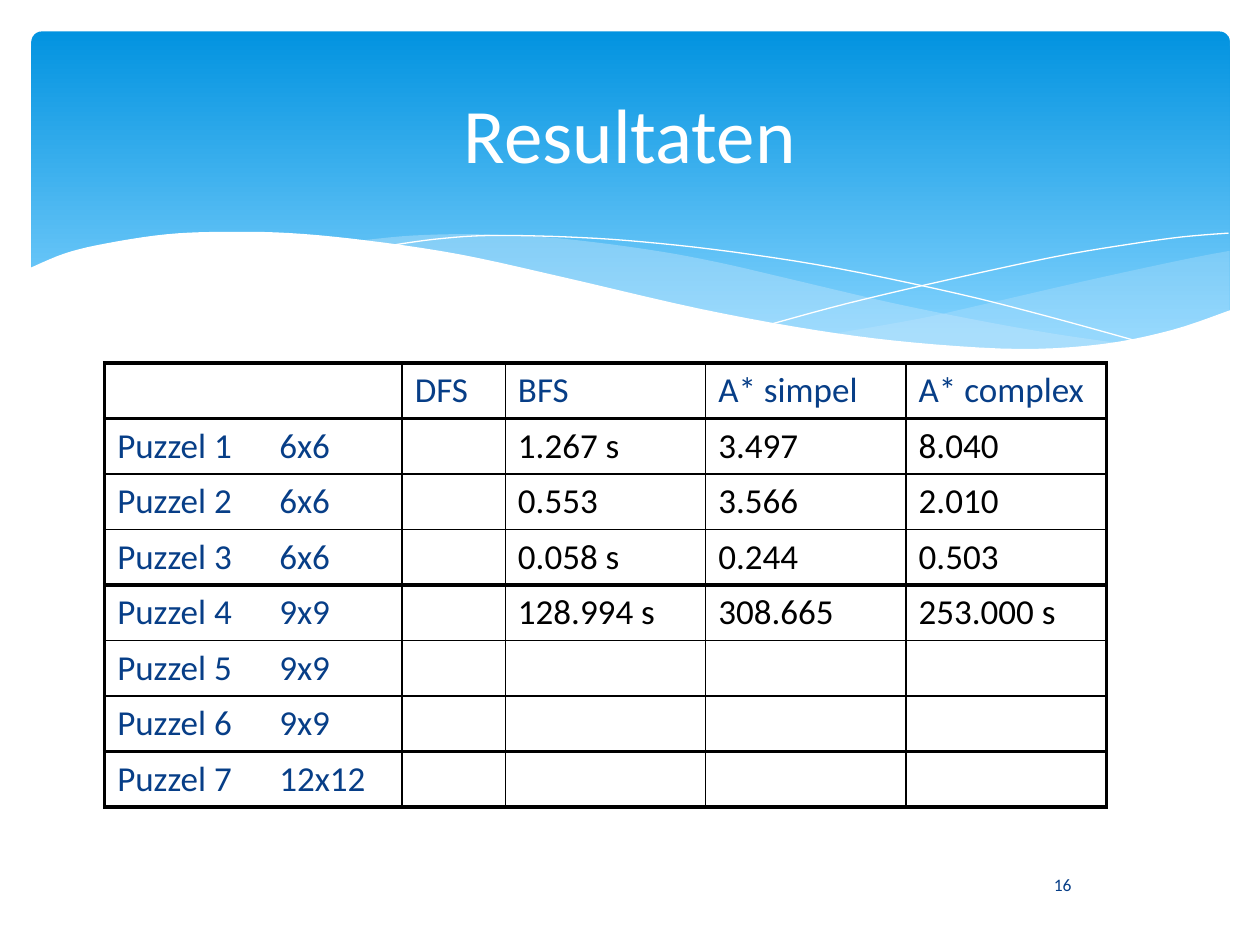
from dataclasses import dataclass

from lxml.etree import SubElement
from pptx import Presentation
from pptx.dml.color import RGBColor as RGB
from pptx.enum.shapes import MSO_SHAPE as Shape
from pptx.enum.text import MSO_ANCHOR as Anchor, PP_ALIGN as Align
from pptx.oxml import parse_xml
from pptx.oxml.ns import nsdecls, qn
from pptx.util import Pt


@dataclass(frozen=True)
class Theme:
    font: str = "Calibri"
    navy: str = "073E87"
    black: str = "000000"
    white: str = "FFFFFF"
    sky_top: str = "0293E0"
    sky_bottom: str = "83D3FE"
    mist: str = "C6E7FC"
    title: int = 44
    body: int = 20
    small: int = 10
    thick: float = 2.25
    thin: float = 1


T = Theme()

# Wave knots, in points
FRONT_WAVE = [(703.4, 177.1), (669.6, 188.6), (630, 196.6), (582.5, 199.4),
              (522.7, 195.8), (465.8, 188.6), (399.6, 176.4), (321.8, 158.4),
              (262.8, 145.4), (210.2, 137.5), (165.6, 133.2), (127.4, 132.5),
              (95, 133.9), (61.2, 139), (37.4, 144.7), (16.6, 153.4)]
FRONT_BASE = [(16.6, 236.9), (703.4, 236.9)]
RIGHT_TOP = [(702.7, 143.3), (673.2, 149), (619.9, 160.6), (560.9, 174.2),
             (524.9, 182.2), (475.9, 190.8)]
RIGHT_BOTTOM = [(475.9, 190.8), (507.6, 195.1), (545, 198.7), (586.1, 200.2),
                (621.4, 198), (651.6, 193.7), (678.2, 186.5), (702.7, 177.8)]
MIDDLE_TOP = [(643, 196.6), (602.6, 190.8), (558, 182.9), (508.3, 172.8),
              (452.9, 159.8), (409.7, 149.8), (370.1, 142.6), (318.2, 136.1),
              (273.6, 133.9), (236.2, 134.6), (205.9, 137.5)]
MIDDLE_BOTTOM = [(205.9, 137.5), (246.2, 143.3), (290.9, 151.9), (323.3, 159.8),
                 (381.6, 172.8), (432.7, 183.6), (478.8, 191.5), (529.9, 198),
                 (573.1, 200.2), (610.6, 199.4), (643, 196.6)]
FALLING_LINE = [(222.5, 140.4), (247.7, 136.8), (278.6, 134.6), (324, 135.4),
                (367.2, 138.2), (419, 144), (478.8, 153.4), (547.2, 167.8),
                (598.3, 180.7), (653, 195.8)]
RISING_LINE = [(441.4, 185), (483.8, 173.5), (538.6, 160.6), (601.9, 146.9),
               (644.4, 139.7), (675.4, 135.4), (702, 133.2)]

# Table content; a tab separates the puzzle from its size
COLUMN_WIDTHS = [170, 59, 114.5, 114.5, 114.5]
ROW_HEIGHT = 31.7
SIZE_TAB = 92.6
ROWS = [
    ["", "DFS", "BFS", "A* simpel", "A* complex"],
    ["Puzzel 1\t6x6", "", "1.267 s", "3.497", "8.040"],
    ["Puzzel 2\t6x6", "", "0.553", "3.566", "2.010"],
    ["Puzzel 3\t6x6", "", "0.058 s", "0.244", "0.503"],
    ["Puzzel 4\t9x9", "", "128.994 s", "308.665", "253.000 s"],
    ["Puzzel 5\t9x9", "", "", "", ""],
    ["Puzzel 6\t9x9", "", "", "", ""],
    ["Puzzel 7\t12x12", "", "", "", ""],
]
THICK_RULES = {0, 1, 4, 7, 8}  # below the header and after each size group


def smooth(knots, steps=5):
    """Catmull-Rom curve through the knots."""
    ends = [knots[0], *knots, knots[-1]]
    points = [knots[0]]
    for a, b, c, d in zip(ends, ends[1:], ends[2:], ends[3:]):
        for t in (i / steps for i in range(1, steps + 1)):
            points.append(tuple(
                (2 * q + (r - p) * t + (2 * p - 5 * q + 4 * r - u) * t**2
                 + (3 * q - p - 3 * r + u) * t**3) / 2
                for p, q, r, u in zip(a, b, c, d)))
    return points


def add_outline(s, points, close):
    (x0, y0), *rest = [(Pt(x), Pt(y)) for x, y in points]
    builder = s.shapes.build_freeform(x0, y0)
    builder.add_line_segments(rest, close=close)
    sp = builder.convert_to_shape()
    sp.shadow.inherit = False
    return sp


def add_wave(s, points, color, opacity=100):
    sp = add_outline(s, points, True)
    sp.line.fill.background()
    sp.fill.solid()
    sp.fill.fore_color.rgb = RGB.from_string(color)
    if opacity < 100:
        clr = sp.fill._xPr.find(".//" + qn("a:srgbClr"))
        SubElement(clr, qn("a:alpha"), val=str(opacity * 1000))


def add_wave_line(s, knots):
    sp = add_outline(s, smooth(knots), False)
    sp.fill.background()
    sp.line.color.rgb = RGB.from_string(T.white)
    sp.line.width = Pt(0)


def add_banner(s):
    sp = s.shapes.add_shape(Shape.ROUNDED_RECTANGLE, Pt(18), Pt(18), Pt(684.7), Pt(194.4))
    sp.adjustments[0] = 0.03
    sp.shadow.inherit = False
    sp.line.fill.background()
    sp.fill.gradient()
    sp.fill.gradient_angle = 270
    for stop, color, at in zip(sp.fill.gradient_stops, (T.sky_top, T.sky_bottom), (0, 0.9)):
        stop.color.rgb = RGB.from_string(color)
        stop.position = at


def write(tf, text, size, color, align=Align.LEFT):
    p = tf.paragraphs[0]
    p.alignment = align
    r = p.add_run()
    r.text = text
    for name, value in {"name": T.font, "size": Pt(size), "bold": False}.items():
        setattr(r.font, name, value)
    r.font.color.rgb = RGB.from_string(color)
    return p


def write_centered(sp, box, text, size, color):
    for name, value in zip(("left", "top", "width", "height"), box):
        setattr(sp, name, Pt(value))
    tf = sp.text_frame
    tf.word_wrap = True
    tf.vertical_anchor = Anchor.MIDDLE
    write(tf, text, size, color, Align.CENTER)


def set_borders(cell, widths):
    tc_pr = cell._tc.get_or_add_tcPr()
    for i, (side, width) in enumerate(zip("LRTB", widths)):
        tc_pr.insert(i, parse_xml(
            f'<a:ln{side} {nsdecls("a")} w="{Pt(width)}"><a:solidFill>'
            f'<a:srgbClr val="{T.black}"/></a:solidFill></a:ln{side}>'))


def add_results(s):
    n_rows, n_cols = len(ROWS), len(COLUMN_WIDTHS)
    table = s.shapes.add_table(n_rows, n_cols, Pt(59.8), Pt(207.4),
                               Pt(sum(COLUMN_WIDTHS)), Pt(ROW_HEIGHT * n_rows)).table
    table.first_row = table.horz_banding = False
    for column, width in zip(table.columns, COLUMN_WIDTHS):
        column.width = Pt(width)
    across = [T.thick if i in THICK_RULES else T.thin for i in range(n_rows + 1)]
    down = [T.thick if i in (0, n_cols) else T.thin for i in range(n_cols + 1)]
    for i, row in enumerate(ROWS):
        table.rows[i].height = Pt(ROW_HEIGHT)
        for j, text in enumerate(row):
            cell = table.cell(i, j)
            cell.fill.background()
            set_borders(cell, (down[j], down[j + 1], across[i], across[i + 1]))
            if text:
                p = write(cell.text_frame, text, T.body, T.black if i and j else T.navy)
                if "\t" in text:
                    tabs = SubElement(p._p.get_or_add_pPr(), qn("a:tabLst"))
                    SubElement(tabs, qn("a:tab"), pos=str(Pt(SIZE_TAB)), algn="l")


def main():
    prs = Presentation()
    prs.slide_width, prs.slide_height = Pt(720), Pt(540)
    s = prs.slides.add_slide(prs.slide_layouts[5])

    # Banner with waves
    add_banner(s)
    add_wave(s, smooth(RIGHT_TOP) + smooth(RIGHT_BOTTOM), T.mist, 29)
    add_wave(s, smooth(MIDDLE_TOP) + smooth(MIDDLE_BOTTOM), T.mist, 40)
    add_wave_line(s, FALLING_LINE)
    add_wave_line(s, RISING_LINE)
    add_wave(s, smooth(FRONT_WAVE) + FRONT_BASE, T.white)

    # Slide number, and the title in front of the banner
    number = s.shapes.add_textbox(0, 0, 0, 0)
    write_centered(number, (561.6, 491, 91.4, 28.8), "16", T.small, T.navy)
    title = s.shapes.title
    s.shapes._spTree.append(title._element)
    write_centered(title, (36, 26.6, 648, 98.6), "Resultaten", T.title, T.white)

    # Results table
    add_results(s)
    prs.save("out.pptx")


if __name__ == "__main__":
    main()
